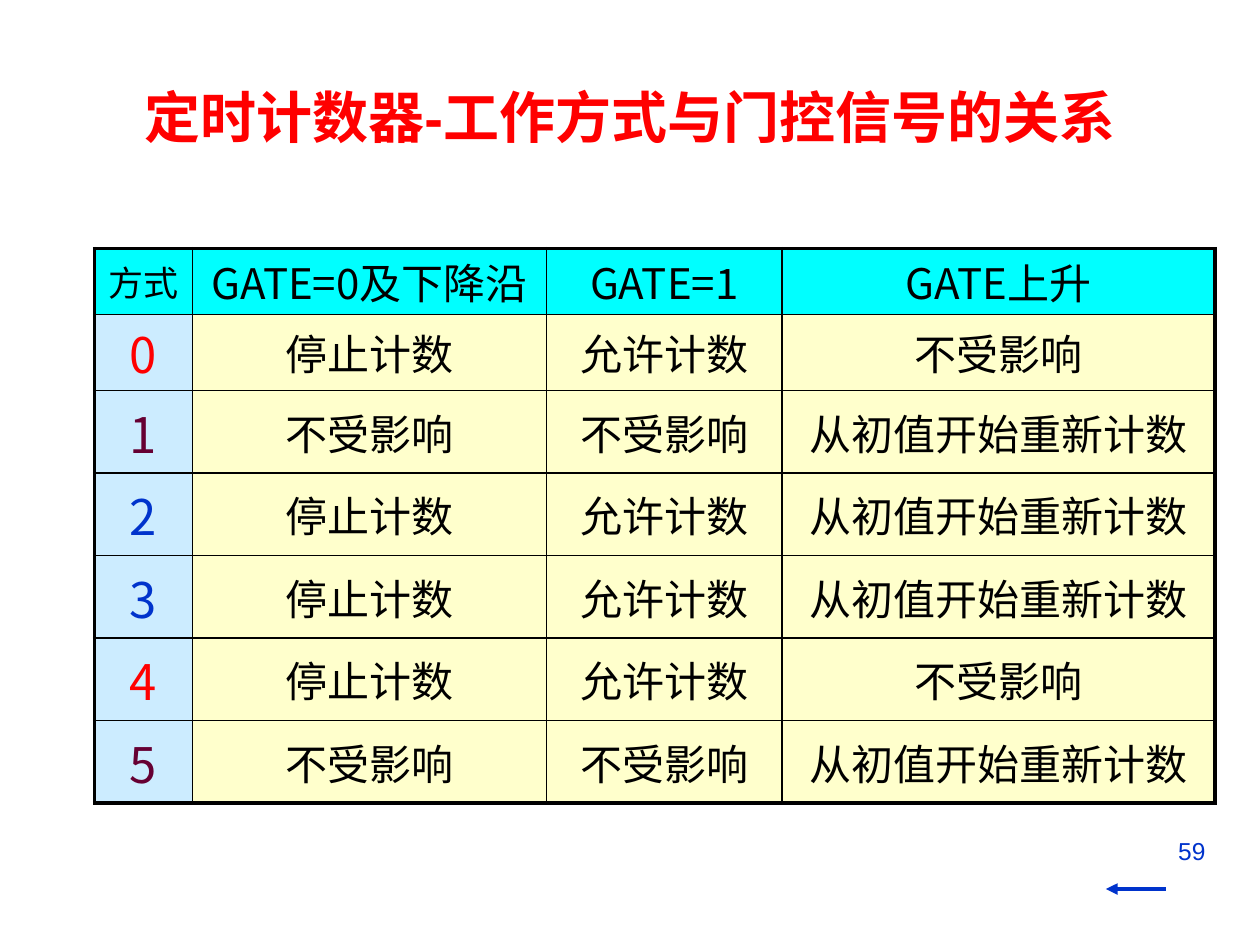
from lxml import etree
from pptx import Presentation, util as u
from pptx.dml.color import RGBColor
from pptx.enum import shapes, text
from pptx.oxml.ns import qn

Pt = u.Pt
TITLE = "定时计数器-工作方式与门控信号的关系"
HEADER = ("方式", "GATE=0及下降沿", "GATE=1", "GATE上升")
STOP, ALLOW, NONE, RELOAD = "停止计数", "允许计数", "不受影响", "从初值开始重新计数"
MODES = [
    ("0", STOP, ALLOW, NONE),
    ("1", NONE, NONE, RELOAD),
    ("2", STOP, ALLOW, RELOAD),
    ("3", STOP, ALLOW, RELOAD),
    ("4", STOP, ALLOW, NONE),
    ("5", NONE, NONE, RELOAD),
]
PAGE = "59"
COLORS = {"red": "FF0000", "maroon": "660033", "blue": "0033CC", "black": "000000",
          "header": "00FFFF", "mode": "CCECFF", "effect": "FFFFCC"}
MODE_COLORS = ("red", "maroon", "blue", "blue", "red", "maroon")
COLUMN_WIDTHS = (56, 202.3, 134.7, 247.4)
ROW_HEIGHTS = (32, 42) + (47.15,) * 5
CJK = "Noto Sans CJK SC"


def rgb(name):
    """Return a named colour."""
    return RGBColor.from_string(COLORS[name])


def write(frame, content, size, color, align, face, bold=False):
    """Put one formatted paragraph into a text frame."""
    paragraph = frame.paragraphs[0]
    paragraph.text = content
    paragraph.alignment = align
    font = paragraph.font
    font.size, font.name, font.bold = Pt(size), face, bold
    font.color.rgb = rgb(color)
    latin = next(paragraph._p.iter(qn("a:latin")))
    east_asian = etree.Element(qn("a:ea"), typeface=CJK)
    latin.addnext(east_asian)


def set_borders(cell, widths):
    """Draw black borders, given as left, right, top, bottom widths."""
    properties = cell._tc.get_or_add_tcPr()
    for index, (side, width) in enumerate(zip("LRTB", widths)):
        line = etree.Element(qn("a:ln" + side), w=str(Pt(width)))
        fill = etree.SubElement(line, qn("a:solidFill"))
        etree.SubElement(fill, qn("a:srgbClr"), val=COLORS["black"])
        properties.insert(index, line)


def cell_style(row, column):
    """Return fill, text colour and text size for a table position."""
    if row == 0:
        return "header", "black", 24 if column else 20
    if column == 0:
        return "mode", MODE_COLORS[row - 1], 28
    return "effect", "black", 24


def add_mode_table(slide):
    """Add the table of modes and gate effects."""
    rows = [HEADER] + MODES
    last_row, last_column = len(rows) - 1, len(HEADER) - 1
    table = slide.shapes.add_table(
        len(rows), len(HEADER), Pt(54), Pt(142),
        Pt(sum(COLUMN_WIDTHS)), Pt(sum(ROW_HEIGHTS))).table
    table.first_row = table.horz_banding = False
    for column, width in zip(table.columns, COLUMN_WIDTHS):
        column.width = Pt(width)
    for row, height in zip(table.rows, ROW_HEIGHTS):
        row.height = Pt(height)
    for r, entries in enumerate(rows):
        for c, entry in enumerate(entries):
            cell = table.cell(r, c)
            fill, color, size = cell_style(r, c)
            cell.fill.solid()
            cell.fill.fore_color.rgb = rgb(fill)
            cell.vertical_anchor = text.MSO_ANCHOR.MIDDLE
            cell.margin_left = cell.margin_right = Pt(1.5)
            cell.margin_top = cell.margin_bottom = Pt(1.5)
            write(cell.text_frame, entry, size, color, text.PP_ALIGN.CENTER, CJK)
            outer = (c == 0, c == last_column, r == 0, r == last_row)
            set_borders(cell, [2.25 if edge else 1 for edge in outer])


def add_back_arrow(slide):
    """Add the arrow that points left."""
    arrow = slide.shapes.add_connector(
        shapes.MSO_CONNECTOR.STRAIGHT, Pt(666), Pt(508), Pt(632), Pt(508))
    arrow.line.color.rgb = rgb("blue")
    arrow.line.width = Pt(2.25)
    etree.SubElement(arrow.line._get_or_add_ln(), qn("a:tailEnd"), type="triangle")
    etree.SubElement(arrow._element.spPr, qn("a:effectLst"))


deck = Presentation()
deck.slide_width, deck.slide_height = Pt(720), Pt(540)
slide = deck.slides.add_slide(deck.slide_layouts[5])

title = slide.shapes.title
title.left, title.top, title.width, title.height = Pt(24), Pt(37.5), Pt(672), Pt(57.5)
title.text_frame.vertical_anchor = text.MSO_ANCHOR.MIDDLE
write(title.text_frame, TITLE, 32, "red", text.PP_ALIGN.CENTER, "Arial", bold=True)

add_mode_table(slide)
add_back_arrow(slide)

page_number = slide.shapes.add_textbox(Pt(516), Pt(474), Pt(180), Pt(37.5))
page_number.text_frame.word_wrap = True
write(page_number.text_frame, PAGE, 14, "blue", text.PP_ALIGN.RIGHT, "Arial")

deck.save("out.pptx")
